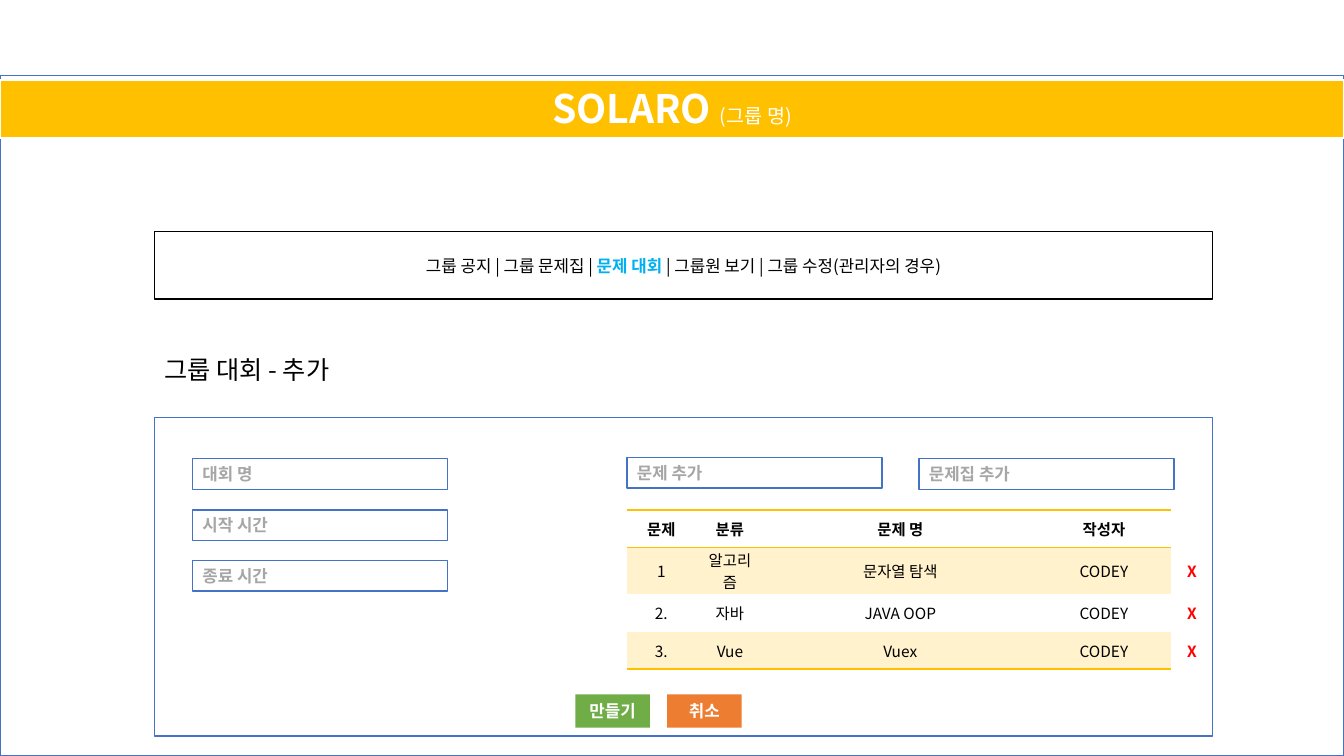
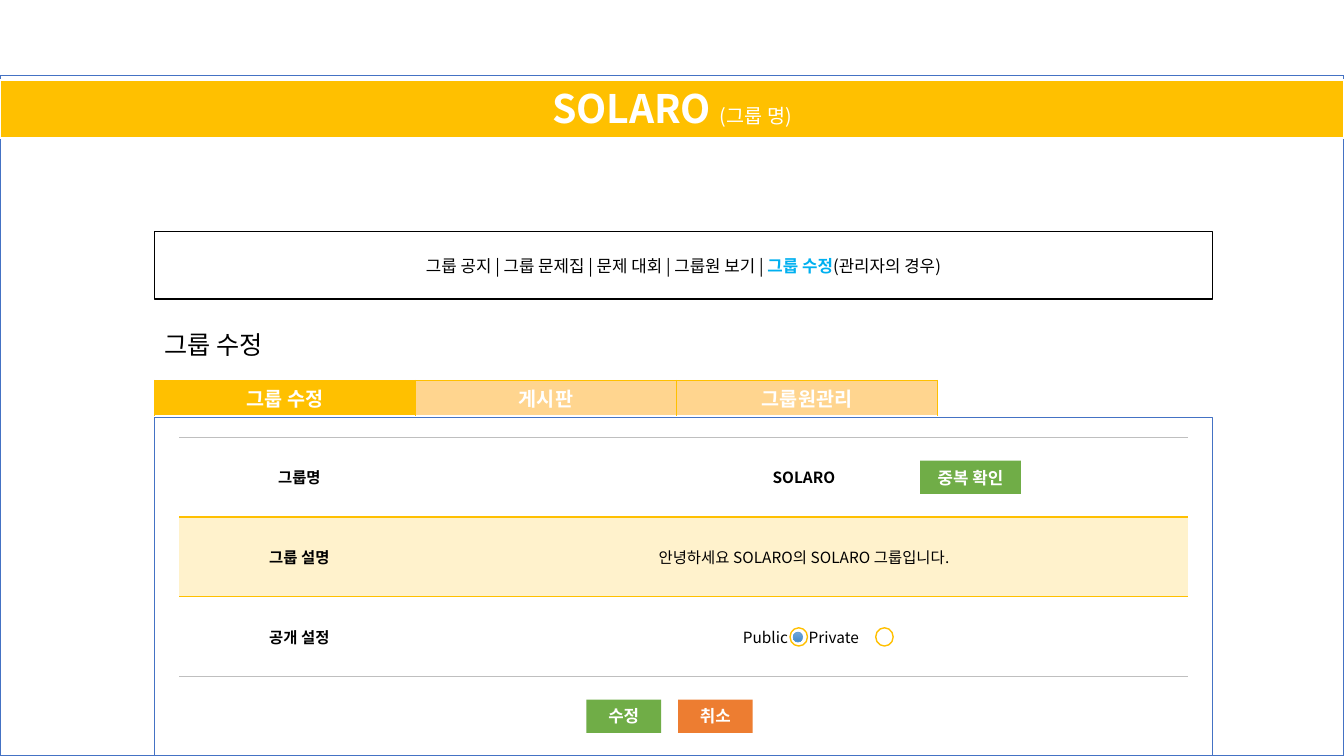
from dataclasses import dataclass, field

from lxml import etree
from pptx import Presentation
from pptx import util as u
from pptx.dml.color import RGBColor
from pptx.enum import shapes, text
from pptx.oxml.ns import qn

# Shared look
FONT = "Noto Sans CJK KR"
BLACK, WHITE, GREY, RULE = "000000", "FFFFFF", "A6A6A6", "BFBFBF"
BLUE, SKY, RED = "4472C4", "00B0F0", "FF0000"
GOLD, PALE_GOLD, CREAM = "FFC000", "FFD58F", "FFF2CC"
GREEN, ORANGE = "70AD47", "ED7D31"
PLAIN_TABLE = "{2D5ABB26-0587-4C30-8999-92F81FD0307C}"
PAGE_WIDTH, PAGE_HEIGHT = 33.87, 19.05
LEFT, CONTENT_WIDTH, PANEL_TOP = 3.89, 26.67, 10.52
CENTER, START = text.PP_ALIGN.CENTER, text.PP_ALIGN.LEFT
TOP, MIDDLE = text.MSO_ANCHOR.TOP, text.MSO_ANCHOR.MIDDLE
MENU = ["그룹 공지", "그룹 문제집", "문제 대회", "그룹원 보기", "그룹 수정"]


@dataclass
class Words:
    value: str
    size: float = 12
    color: str = BLACK
    bold: bool = False


@dataclass
class Box:
    left: float
    top: float
    width: float
    height: float
    fill: str = WHITE
    line: str | None = None
    line_width: float = 1
    words: list[Words] = field(default_factory=list)
    align: text.PP_ALIGN = CENTER
    anchor: text.MSO_ANCHOR = MIDDLE
    kind: shapes.MSO_SHAPE = shapes.MSO_SHAPE.RECTANGLE


@dataclass
class Entry:
    words: Words
    fill: str | None = None
    borders: dict[str, tuple[str, float]] = field(default_factory=dict)


def rgb(value: str) -> RGBColor:
    return RGBColor.from_string(value)


# Text helpers
def style_run(run, words: Words) -> None:
    run.font.size = u.Pt(words.size)
    run.font.bold = words.bold
    run.font.color.rgb = rgb(words.color)
    run.font.name = FONT
    east_asian = etree.SubElement(run._r.get_or_add_rPr(), qn("a:ea"))
    east_asian.set("typeface", FONT)


def write(frame, words: list[Words], align: text.PP_ALIGN) -> None:
    paragraph = frame.paragraphs[0]
    paragraph.alignment = align
    for part in words:
        run = paragraph.add_run()
        run.text = part.value
        style_run(run, part)


# Drawing helpers
def draw_box(slide, box: Box):
    shape = slide.shapes.add_shape(
        box.kind, u.Cm(box.left), u.Cm(box.top), u.Cm(box.width), u.Cm(box.height))
    shape.shadow.inherit = False
    shape.fill.solid()
    shape.fill.fore_color.rgb = rgb(box.fill)
    if box.line:
        shape.line.color.rgb = rgb(box.line)
        shape.line.width = u.Pt(box.line_width)
    else:
        shape.line.fill.background()
    if box.words:
        shape.text_frame.word_wrap = True
        shape.text_frame.vertical_anchor = box.anchor
        write(shape.text_frame, box.words, box.align)
    return shape


def draw_input(slide, left: float, top: float, label: str) -> None:
    draw_box(slide, Box(left, top, 6.43, 0.77, line=BLUE, align=START, anchor=TOP,
                        words=[Words(label, color=GREY, bold=True)]))


def draw_button(slide, left: float, top: float, label: str, color: str,
                width: float = 1.88) -> None:
    draw_box(slide, Box(left, top, width, 0.84, fill=color,
                        words=[Words(label, color=WHITE, bold=True)]))


def set_borders(cell, borders: dict[str, tuple[str, float]]) -> None:
    properties = cell._tc.get_or_add_tcPr()
    sides = [side for side in "LRTB" if side in borders]
    for position, side in enumerate(sides):
        color, width = borders[side]
        line = etree.Element(qn(f"a:ln{side}"), w=str(u.Pt(width)))
        fill = etree.SubElement(line, qn("a:solidFill"))
        etree.SubElement(fill, qn("a:srgbClr"), val=color)
        properties.insert(position, line)


def draw_table(slide, left: float, top: float, widths: list[float],
               heights: list[float], rows: list[list[Entry]]):
    frame = slide.shapes.add_table(
        len(rows), len(widths), u.Cm(left), u.Cm(top),
        u.Cm(sum(widths)), u.Cm(sum(heights)))
    table = frame.table
    table.first_row = table.horz_banding = False
    for style in frame.element.iter(qn("a:tableStyleId")):
        style.text = PLAIN_TABLE
    for column, width in zip(table.columns, widths):
        column.width = u.Cm(width)
    for row, height, entries in zip(table.rows, heights, rows):
        row.height = u.Cm(height)
        for cell, entry in zip(row.cells, entries):
            cell.margin_top = cell.margin_bottom = 0
            cell.vertical_anchor = MIDDLE
            if entry.fill:
                cell.fill.solid()
                cell.fill.fore_color.rgb = rgb(entry.fill)
            else:
                cell.fill.background()
            set_borders(cell, entry.borders)
            write(cell.text_frame, [entry.words], CENTER)
    return table


# Parts that every page has
def menu_words(active: str) -> list[Words]:
    words = []
    for position, label in enumerate(MENU):
        if position:
            words.append(Words(" | "))
        chosen = label == active
        words.append(Words(label, color=SKY if chosen else BLACK, bold=chosen))
    return words + [Words("(관리자의 경우)")]


def add_page(presentation, heading: str, heading_top: float, active: str,
             panel_height: float):
    slide = presentation.slides.add_slide(presentation.slide_layouts[5])
    draw_box(slide, Box(0, 1.9, PAGE_WIDTH, 17.15, line=BLUE))
    draw_box(slide, Box(LEFT, 5.84, CONTENT_WIDTH, 1.7, line=BLACK,
                        words=menu_words(active)))
    # The heading lies above the page frame
    title = slide.shapes.title
    title.element.getparent().append(title.element)
    title.left, title.top = u.Cm(LEFT), u.Cm(heading_top)
    title.width, title.height = u.Cm(CONTENT_WIDTH), u.Cm(2.57)
    title.text_frame.auto_size = text.MSO_AUTO_SIZE.NONE
    title.text_frame.vertical_anchor = TOP
    write(title.text_frame, [Words(heading, 18)], START)
    draw_box(slide, Box(LEFT, PANEL_TOP, CONTENT_WIDTH, panel_height, line=BLUE))
    draw_box(slide, Box(0, 2.01, PAGE_WIDTH, 1.47, GOLD, WHITE, 1.5, anchor=TOP,
                        words=[Words("SOLARO ", 28, WHITE, True),
                               Words("(그룹 명)", 14, WHITE)]))
    return slide


def add_contest_page(presentation) -> None:
    slide = add_page(presentation, "그룹 대회 - 추가", 8.81, "문제 대회", 8.03)
    for left, top, label in [(4.85, 11.56, "대회 명"), (4.85, 12.85, "시작 시간"),
                             (4.85, 14.12, "종료 시간"), (23.16, 11.56, "문제집 추가"),
                             (15.8, 11.53, "문제 추가")]:
        draw_input(slide, left, top, label)

    # Problem list with a delete mark after each row
    edge = (GOLD, 1)
    header = [Entry(Words(label, 11, bold=True), borders={"T": edge, "B": edge})
              for label in ["문제", "분류", "문제 명", "작성자"]]
    rows = [header + [Entry(Words("", 11))]]
    problems = [("1", "알고리즘", "문자열 탐색"), ("2.", "자바", "JAVA OOP"),
                ("3.", "Vue", "Vuex")]
    for position, problem in enumerate(problems):
        fill = CREAM if position % 2 == 0 else None
        borders = {"B": edge} if position == len(problems) - 1 else {}
        row = [Entry(Words(value, 11), fill, borders) for value in (*problem, "CODEY")]
        rows.append(row + [Entry(Words("X", 11, RED, True))])
    draw_table(slide, 15.8, 12.85, [1.73, 1.73, 6.86, 3.4, 1.04],
               [0.94, 1.19, 0.94, 0.94], rows)

    draw_button(slide, 14.5, 17.5, "만들기", GREEN)
    draw_button(slide, 16.81, 17.5, "취소", ORANGE)


def add_settings_page(presentation) -> None:
    slide = add_page(presentation, "그룹 수정", 8.18, "그룹 수정", 8.53)

    # Settings form
    rule, edge = (RULE, 1), (GOLD, 1)
    form = [("그룹명", "SOLARO", None, {"T": rule, "B": edge}),
            ("그룹 설명", "안녕하세요 SOLARO의 SOLARO 그룹입니다.", CREAM, {"T": edge}),
            ("공개 설정", "Public\tPrivate", None, {"B": rule})]
    rows = [[Entry(Words(label, 11, bold=True), fill, borders),
             Entry(Words(value, 11, bold=label == "그룹명"), fill, borders)]
            for label, value, fill, borders in form]
    table = draw_table(slide, 4.52, 11.02, [6.05, 19.38], [2.01] * 3, rows)

    # Radio labels stand at the cell margin and at a tab stop
    options = table.cell(2, 1)
    options.margin_left = u.Cm(8.15)
    paragraph = options.text_frame.paragraphs[0]
    paragraph.alignment = START
    stops = etree.SubElement(paragraph._p.get_or_add_pPr(), qn("a:tabLst"))
    etree.SubElement(stops, qn("a:tab"), pos=str(u.Cm(1.66)), algn="l")

    # Radio buttons
    oval = shapes.MSO_SHAPE.OVAL
    for left in (19.91, 22.07):
        draw_box(slide, Box(left, 15.82, 0.44, 0.46, line=GOLD, kind=oval))
    dot = draw_box(slide, Box(19.99, 15.93, 0.24, 0.25, line="5B9BD5",
                              line_width=0.5, kind=oval))
    dot.fill.gradient()
    dot.fill.gradient_angle = 270
    for stop, color in zip(dot.fill.gradient_stops, ("71A6DB", "448ACA")):
        stop.color.rgb = rgb(color)

    draw_button(slide, 14.78, 17.63, "수정", GREEN)
    draw_button(slide, 17.09, 17.63, "취소", ORANGE)
    draw_button(slide, 23.19, 11.61, "중복 확인", GREEN, 2.54)

    # Tabs
    thin = (GOLD, 0.5)
    borders = {"L": thin, "R": thin, "T": thin, "B": (WHITE, 1)}
    tabs = [Entry(Words(label, 14, WHITE, True), fill, borders)
            for label, fill in [("그룹 수정", GOLD), ("게시판", PALE_GOLD),
                                ("그룹원관리", PALE_GOLD)]]
    draw_table(slide, LEFT, 9.58, [6.58] * 3, [0.89], [tabs])


def main() -> None:
    presentation = Presentation()
    presentation.slide_width = u.Cm(PAGE_WIDTH)
    presentation.slide_height = u.Cm(PAGE_HEIGHT)
    add_contest_page(presentation)
    add_settings_page(presentation)
    presentation.save("out.pptx")


main()
